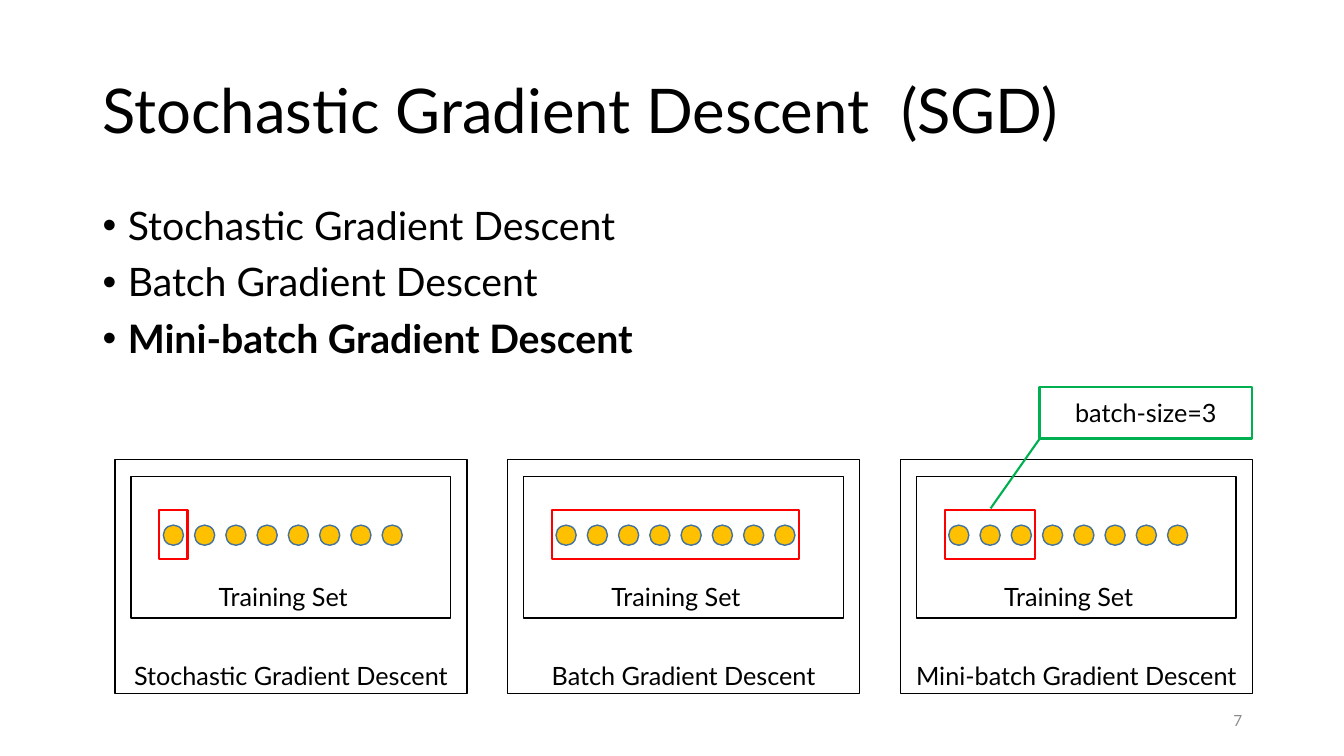
from lxml import etree
from pptx import Presentation
from pptx import util as u
from pptx.dml import color
from pptx.enum import shapes, text
from pptx.oxml import ns

COLORS = {"ink": "000000", "muted": "8C8C8C", "dot": "FFC000",
          "dot_line": "43739E", "batch": "FF0000", "callout": "00B050"}
FONT = "Lato"
MIDDLE = {"vertical_anchor": text.MSO_ANCHOR.MIDDLE}
GROW = {"auto_size": text.MSO_AUTO_SIZE.SHAPE_TO_FIT_TEXT}
CENTER = {"alignment": text.PP_ALIGN.CENTER}
RIGHT = {"alignment": text.PP_ALIGN.RIGHT}
TIGHT = {"line_spacing": 0.9}
SHAPE = shapes.MSO_SHAPE


def rgb(name):
    return color.RGBColor.from_string(COLORS[name])


def apply(obj, formats):
    for name, value in formats.items():
        setattr(obj, name, value)


def inches(box):
    return [u.Inches(v) for v in box]


def add_run(p, words, size, ink="ink", bold=False):
    r = p.add_run()
    r.text = words
    apply(r.font, {"name": FONT, "size": u.Pt(size), "bold": bold})
    r.font.color.rgb = rgb(ink)


def add_text(parent, box, words, size, frame=None, para=None, ink="ink"):
    tf = parent.add_textbox(*inches(box)).text_frame
    apply(tf, {"word_wrap": True, **(frame or {})})
    p = tf.paragraphs[0]
    apply(p, para or {})
    add_run(p, words, size, ink)


def add_outline(parent, kind, box, line, width=1, fill=None):
    sp = parent.add_shape(kind, *inches(box))
    sp.shadow.inherit = False
    if fill:
        sp.fill.solid()
        sp.fill.fore_color.rgb = rgb(fill)
    else:
        sp.fill.background()
    sp.line.color.rgb = rgb(line)
    sp.line.width = u.Pt(width)
    return sp


def add_bullets(s, box, items):
    tf = s.shapes.add_textbox(*inches(box)).text_frame
    tf.word_wrap = True
    for i, (words, bold) in enumerate(items):
        p = tf.add_paragraph() if i else tf.paragraphs[0]
        pPr = p._p.get_or_add_pPr()
        pPr.set("marL", str(u.Inches(0.25)))
        pPr.set("indent", str(-u.Inches(0.25)))
        etree.SubElement(pPr, ns.qn("a:buFont")).set("typeface", "Arial")
        etree.SubElement(pPr, ns.qn("a:buChar")).set("char", "•")
        apply(p, {**TIGHT, "space_before": u.Pt(10 if i else 0)})
        add_run(p, words, 28, bold=bold)


def add_panel(s, box, name, batch, dots=8, pitch=0.31):
    x, y, w, h = box
    group = s.shapes.add_group_shape().shapes
    # Panel and training set frames
    add_outline(group, SHAPE.RECTANGLE, box, "ink")
    add_outline(group, SHAPE.RECTANGLE, (x + 0.16, y + 0.17, 3.17, 1.4), "ink")
    add_text(group, (x + 0.92, y + 1.16, 1.5, 0.4), "Training Set", 18,
             {**GROW, "word_wrap": False}, CENTER)
    # Samples
    for i in range(dots):
        add_outline(group, SHAPE.OVAL, (x + 0.48 + i * pitch, y + 0.65, 0.2, 0.2),
                    "dot_line", fill="dot")
    # Method name and the samples used per step
    add_text(group, (x, y + h - 0.38, w, 0.4), name, 18, GROW, CENTER)
    add_outline(group, SHAPE.RECTANGLE,
                (x + 0.44, y + 0.5, 0.28 + (batch - 1) * pitch, 0.49), "batch", 1.5)


def add_callout(s, box, words):
    sp = add_outline(s.shapes, SHAPE.LINE_CALLOUT_1, box, "callout", 1.5)
    for i, value in enumerate((1.01, 0, 2.36, -0.23)):
        sp.adjustments[i] = value
    tf = sp.text_frame
    apply(tf, {"word_wrap": True, **MIDDLE})
    apply(tf.paragraphs[0], CENTER)
    add_run(tf.paragraphs[0], words, 18)


def build_slide(prs):
    s = prs.slides.add_slide(prs.slide_layouts[6])
    # Heading, bullets and slide number
    add_text(s.shapes, (0.92, 0.4, 11.5, 1.45), "Stochastic Gradient Descent  (SGD)",
             44, MIDDLE, TIGHT)
    methods = [("Stochastic Gradient Descent", 1), ("Batch Gradient Descent", 8),
               ("Mini-batch Gradient Descent", 3)]
    add_bullets(s, (0.92, 2, 11.5, 4.76),
                [(name, batch == 3) for name, batch in methods])
    add_text(s.shapes, (9.42, 6.95, 3, 0.4), "7", 11, MIDDLE, RIGHT, "muted")
    # One panel per method, evenly spread
    left, right = 1.14, 8.93
    step = (right - left) / (len(methods) - 1)
    for i, (name, batch) in enumerate(methods):
        add_panel(s, (left + i * step, 4.56, 3.49, 2.32), name, batch)
    add_callout(s, (10.31, 3.84, 2.11, 0.51), "batch-size=3")


def main():
    prs = Presentation()
    apply(prs, {"slide_width": u.Inches(13.33), "slide_height": u.Inches(7.5)})
    build_slide(prs)
    prs.save("out.pptx")


if __name__ == "__main__":
    main()
